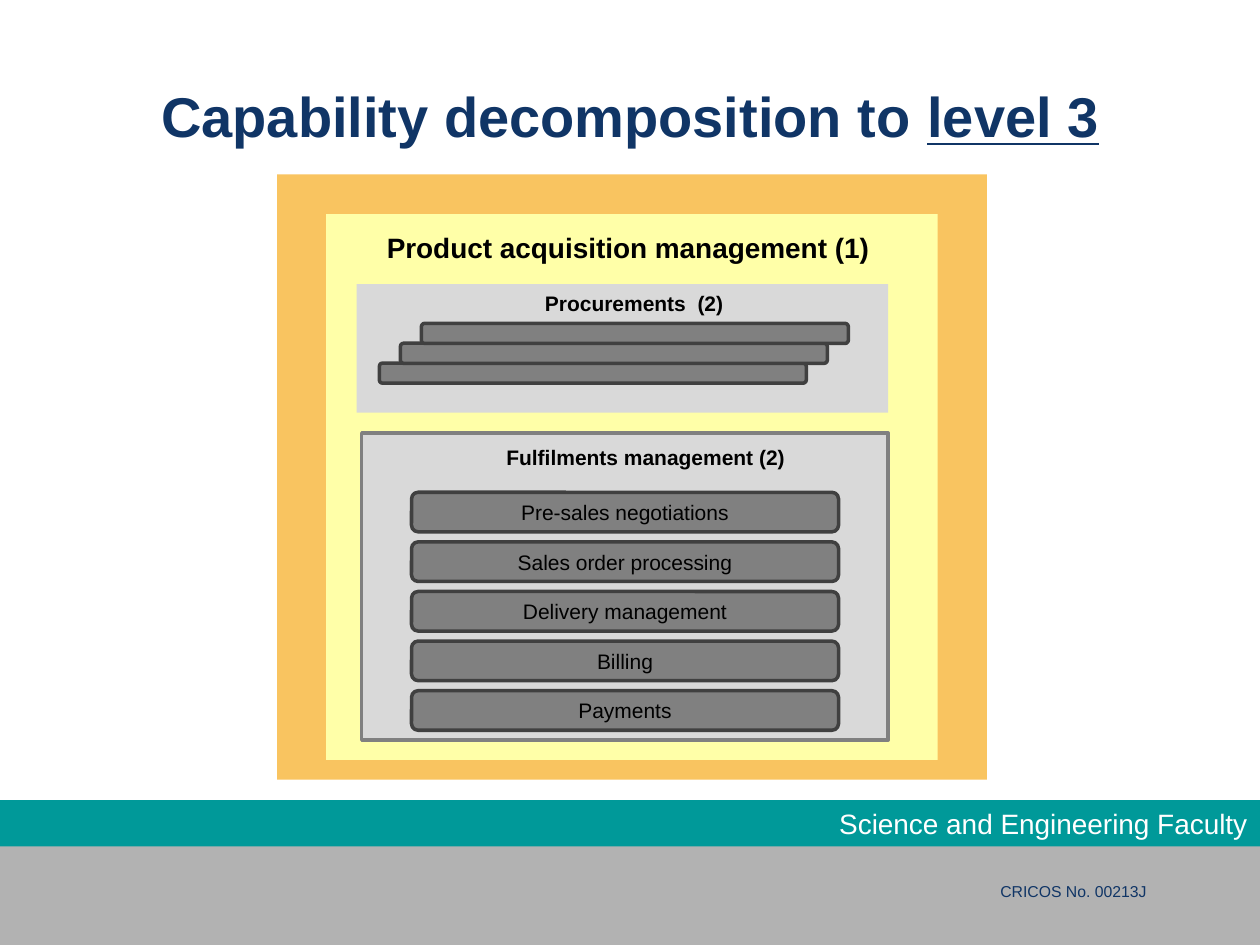
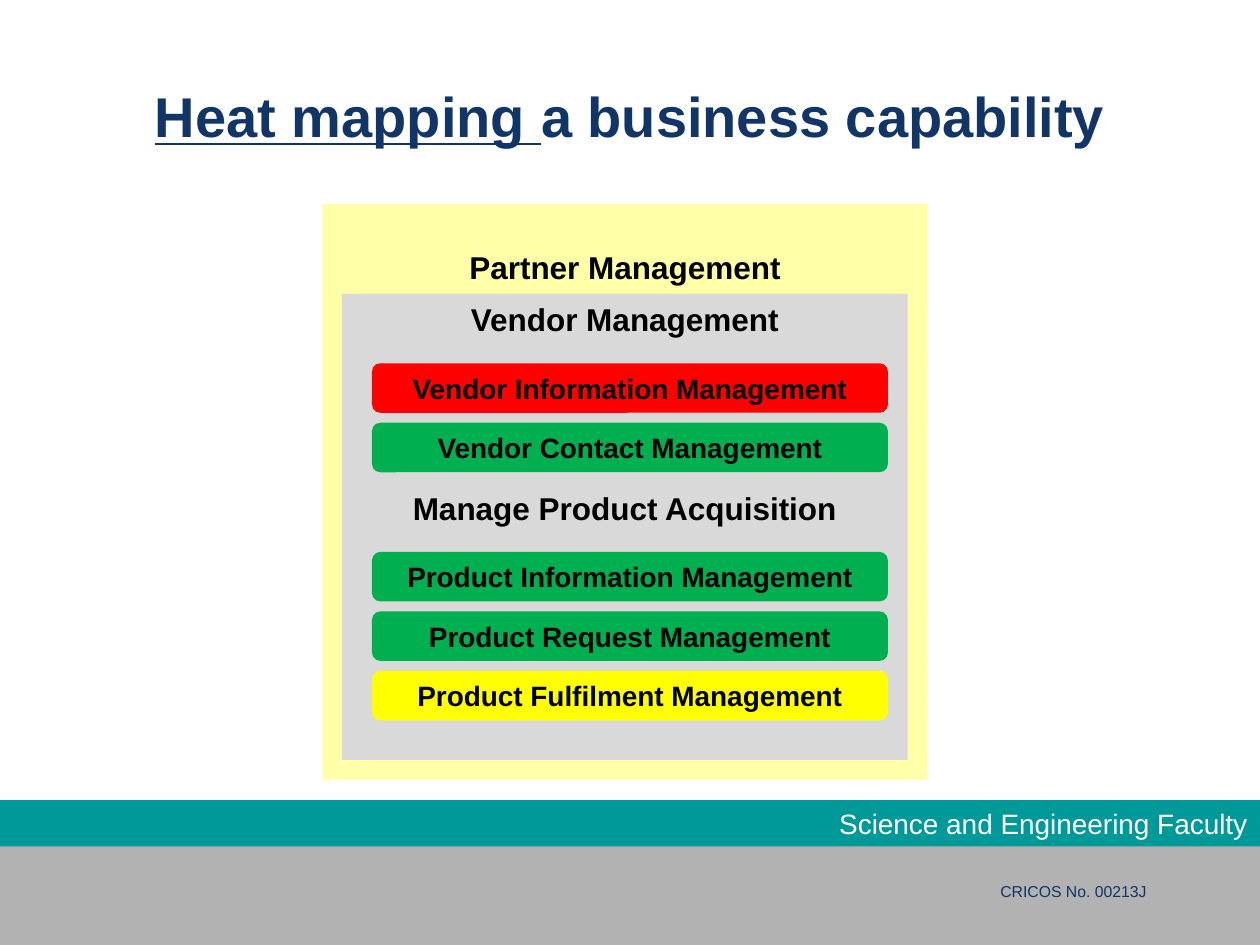
import pptx
import pptx.util
import pptx.dml.color
import pptx.enum.shapes
import pptx.enum.text

Pt = pptx.util.Pt
SHAPE = pptx.enum.shapes.MSO_SHAPE
ALIGN = pptx.enum.text.PP_ALIGN
ANCHOR = pptx.enum.text.MSO_ANCHOR

COLOURS = {
    "navy": "103566", "teal": "009999", "footer": "B2B2B2", "white": "FFFFFF",
    "black": "000000", "orange": "F9C460", "cream": "FFFFA8",
    "panel": "D9D9D9", "bar": "808080", "bar edge": "404040",
    "red": "FF0000", "green": "00B050", "yellow": "FFFF00",
}
FONT = "Arial"


def colour(name):
    return pptx.dml.color.RGBColor.from_string(COLOURS[name])


def style(paragraph, size, ink, bold, align):
    paragraph.alignment = align
    paragraph.font.name = FONT
    paragraph.font.size = Pt(size)
    paragraph.font.bold = bold
    paragraph.font.color.rgb = colour(ink)


def add_box(slide, place, fill, edge=None, kind=SHAPE.RECTANGLE):
    """Preset shape without a shadow; place is left, top, width, height."""
    box = slide.shapes.add_shape(kind, *map(Pt, place))
    box.shadow.inherit = False
    box.fill.solid()
    box.fill.fore_color.rgb = colour(fill)
    if edge:
        box.line.color.rgb = colour(edge)
        box.line.width = Pt(2)
    else:
        box.line.fill.background()
    return box


def write(box, text, size, ink="black", bold=False, align=ALIGN.CENTER,
          anchor=ANCHOR.MIDDLE):
    frame = box.text_frame
    frame.word_wrap = True
    frame.vertical_anchor = anchor
    frame.text = text
    for paragraph in frame.paragraphs:
        style(paragraph, size, ink, bold, align)
    return frame


def add_label(slide, place, text, size, ink="black", bold=True, align=ALIGN.CENTER):
    label = slide.shapes.add_textbox(*map(Pt, place))
    write(label, text, size, ink, bold, align, ANCHOR.TOP)


def add_bar(slide, place, fill, edge=None, text="", size=12, bold=False):
    bar = add_box(slide, place, fill, edge, SHAPE.ROUNDED_RECTANGLE)
    if text:
        write(bar, text, size, bold=bold)


def add_headed_panel(slide, place, fill, headings, inset, gap=0):
    """Panel with headings from its top edge, gap points apart."""
    panel = add_box(slide, place, fill)
    frame = write(panel, "\n".join(headings), 18, bold=True, anchor=ANCHOR.TOP)
    frame.margin_top = Pt(inset)
    for heading in frame.paragraphs[1:]:
        heading.space_before = Pt(gap)


def add_title(slide, parts):
    """Title made of (text, underlined) parts."""
    title = slide.shapes.add_textbox(Pt(36), Pt(21), Pt(648), Pt(90))
    title.text_frame.word_wrap = True
    title.text_frame.vertical_anchor = ANCHOR.MIDDLE
    paragraph = title.text_frame.paragraphs[0]
    style(paragraph, 32, "navy", True, ALIGN.CENTER)
    for text, underlined in parts:
        run = paragraph.add_run()
        run.text = text
        run.font.underline = underlined


def add_footer(slide):
    add_box(slide, (0, 474.5, 720, 65.5), "footer")
    add_label(slide, (564.5, 500.4, 104, 18), "CRICOS No. 00213J", 9, "navy", False,
              ALIGN.LEFT)

    # Faculty band
    band = add_box(slide, (0, 457.2, 720, 26.5), "teal")
    write(band, "Science and Engineering Faculty", 16, "white", align=ALIGN.RIGHT)


def start_slide(deck, title_parts):
    slide = deck.slides.add_slide(deck.slide_layouts[6])
    add_footer(slide)
    add_title(slide, title_parts)
    return slide


def build_decomposition(deck):
    slide = start_slide(deck, [("Capability decomposition to ", False), ("level 3", True)])

    # Level 1
    add_box(slide, (158.4, 99.7, 405.6, 345.8), "orange")
    add_box(slide, (186.4, 122.3, 349.4, 312), "cream")
    add_label(slide, (204.4, 128.2, 309, 26), "Product acquisition management (1)", 16)

    # Level 2
    add_box(slide, (203.8, 162.3, 303.7, 73.5), "panel")
    add_box(slide, (206.7, 247.5, 300.8, 175.5), "panel", "bar")
    add_label(slide, (285.4, 162.4, 154, 21), "Procurements  (2)", 12)
    add_label(slide, (264.5, 250.6, 209, 21), "Fulfilments management (2)", 12)

    # Level 3: procurements stacked from the back, then fulfilment steps
    for level in range(3):
        add_bar(slide, (216.8 + 12 * level, 207.5 - 11.35 * level, 244, 11.5),
                "bar", "bar edge")
    steps = ("Pre-sales negotiations", "Sales order processing",
             "Delivery management", "Billing", "Payments")
    for row, step in enumerate(steps):
        add_bar(slide, (235.2, 281.3 + 28.35 * row, 244, 22.6), "bar", "bar edge", step)


def build_heat_map(deck):
    slide = start_slide(deck, [("Heat mapping ", True), ("a business capability", False)])

    add_headed_panel(slide, (184.2, 116.6, 346, 329), "cream", ["Partner Management"], 25)
    add_headed_panel(slide, (195.5, 168, 323.2, 266.3), "panel",
                     ["Vendor Management", "Manage Product Acquisition"], 3.5, 86.5)

    # Capabilities coloured by heat
    groups = (
        (207.6, (("Vendor Information Management", "red"),
                 ("Vendor Contact Management", "green"))),
        (315.4, (("Product Information Management", "green"),
                 ("Product Request Management", "green"),
                 ("Product Fulfilment Management", "yellow"))),
    )
    for top, capabilities in groups:
        for row, (capability, heat) in enumerate(capabilities):
            add_bar(slide, (212.6, top + 34 * row, 294.8, 28.3), heat,
                    text=capability, size=16, bold=True)


def main():
    deck = pptx.Presentation()
    deck.slide_width, deck.slide_height = Pt(720), Pt(540)
    build_decomposition(deck)
    build_heat_map(deck)
    deck.save("out.pptx")


if __name__ == "__main__":
    main()
